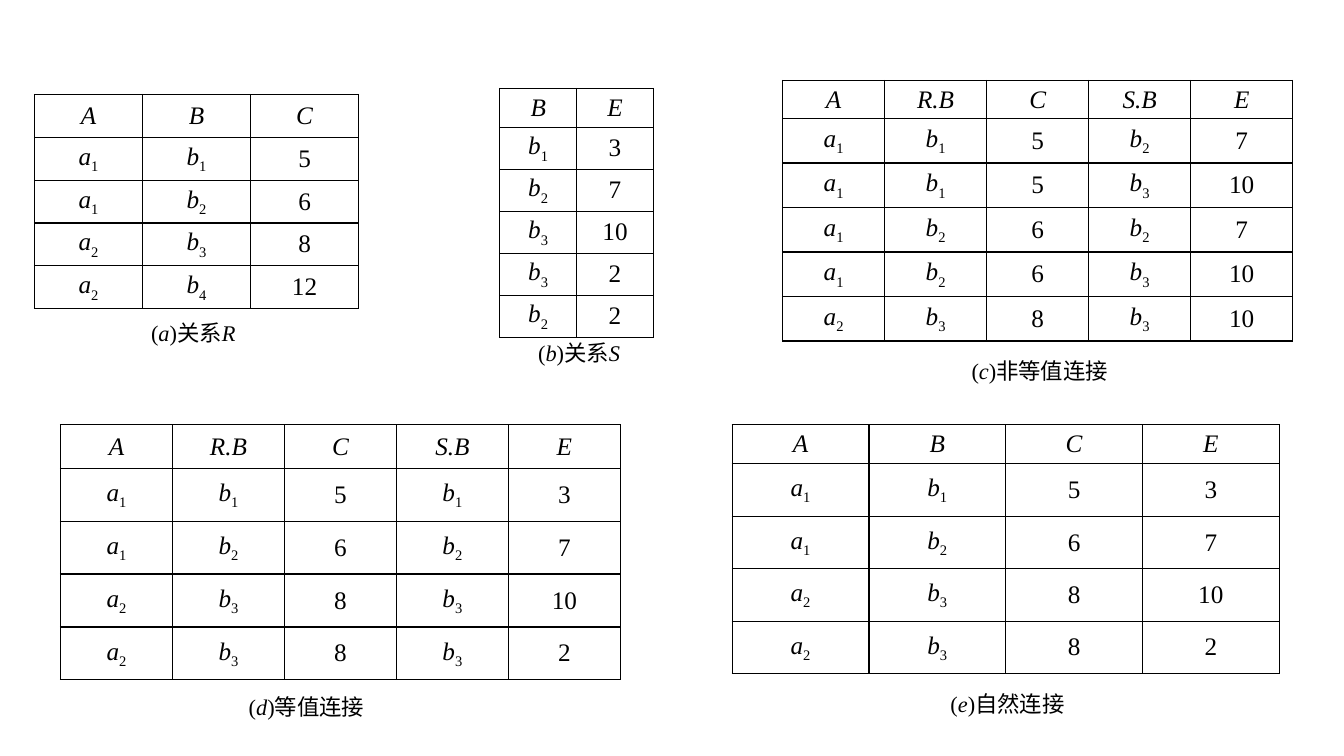
from lxml import etree
from pptx import Presentation
from pptx.dml.color import RGBColor
from pptx.enum.text import MSO_ANCHOR, MSO_AUTO_SIZE, PP_ALIGN
from pptx.oxml.ns import qn
from pptx.util import Pt

BLACK = RGBColor(0x00, 0x00, 0x00)
MIDDLE = MSO_ANCHOR.MIDDLE
CENTER = PP_ALIGN.CENTER
GROW = MSO_AUTO_SIZE.SHAPE_TO_FIT_TEXT
LATIN_FONT = "Times New Roman"
CHINESE_FONT = "Noto Sans CJK SC"
CELL_SIZE = Pt(18)
CELL_FORMAT = {"vertical_anchor": MIDDLE, "margin_top": Pt(2.5), "margin_bottom": Pt(2.5)}
CAPTION_SIZE = Pt(16)
CAPTION_HEIGHT = 26.6

RELATIONS = [
    {"box": (24.6, 67.5), "column": 77.2, "heights": (30.6, 30.6),
     "rows": ["A B C", "a1 b1 5", "a1 b2 6", "a2 b3 8", "a2 b4 12"],
     "caption": ("a", "关系", "R"), "caption_box": (76.2, 4.1, 95)},
    {"box": (357, 63.2), "column": 54.9, "heights": (27.8, 30),
     "rows": ["B E", "b1 3", "b2 7", "b3 10", "b3 2", "b2 2"],
     "caption": ("b", "关系", "S"), "caption_box": (20.3, -2.5, 95)},
    {"box": (559, 57.4), "column": 72.9, "heights": (27.3, 31.8),
     "rows": ["A R.B C S.B E", "a1 b1 5 b2 7", "a1 b1 5 b3 10",
              "a1 b2 6 b2 7", "a1 b2 6 b3 10", "a2 b3 8 b3 10"],
     "caption": ("c", "非等值连接", ""), "caption_box": (127.9, 7.6, 124.6)},
    {"box": (43.2, 303.3), "column": 80, "heights": (31.2, 37.8),
     "rows": ["A R.B C S.B E", "a1 b1 5 b1 3", "a1 b2 6 b2 7",
              "a2 b3 8 b3 10", "a2 b3 8 b3 2"],
     "caption": ("d", "等值连接", ""), "caption_box": (127.4, 6.1, 125.3)},
    {"box": (523, 303.3), "column": 97.7, "heights": (28, 37.5),
     "rows": ["A B C E", "a1 b1 5 3", "a1 b2 6 7", "a2 b3 8 10", "a2 b3 8 2"],
     "caption": ("e", "自然连接", ""), "caption_box": (148.8, 8.3, 134)},
]


def add_span(para, text, size, italic=False, name=LATIN_FONT):
    """Add one formatted run and return its properties element."""
    span = para.add_run()
    span.text = text
    span.font.color.rgb = BLACK
    for key, value in {"size": size, "italic": italic, "name": name}.items():
        setattr(span.font, key, value)
    properties = span._r.get_or_add_rPr()
    etree.SubElement(properties, qn("a:ea"), typeface=name)
    return properties


def write_value(para, value):
    """Write a number, an attribute name or a letter with a subscript."""
    letters = value.rstrip("0123456789")
    digits = value[len(letters):]
    if letters:
        add_span(para, letters, CELL_SIZE, italic=True)
    if digits:
        properties = add_span(para, digits, CELL_SIZE)
        if letters:
            properties.set("baseline", "-25000")


def add_borders(cell):
    """Give a cell no fill and a thin black line on all four sides."""
    cell.fill.background()
    properties = cell._tc.get_or_add_tcPr()
    for index, side in enumerate(("lnL", "lnR", "lnT", "lnB")):
        line = etree.Element(qn(f"a:{side}"), w=str(Pt(1)))
        fill = etree.SubElement(line, qn("a:solidFill"))
        etree.SubElement(fill, qn("a:srgbClr"), val=str(BLACK))
        properties.insert(index, line)


def draw_caption(page, left, top, width, caption):
    """Draw the lettered caption of a relation."""
    box = page.shapes.add_textbox(Pt(left), Pt(top), Pt(width), Pt(CAPTION_HEIGHT))
    frame = box.text_frame
    for key, value in {"word_wrap": True, "auto_size": GROW}.items():
        setattr(frame, key, value)
    para = frame.paragraphs[0]
    letter, title, symbol = caption
    add_span(para, "(", CAPTION_SIZE)
    add_span(para, letter, CAPTION_SIZE, italic=True)
    add_span(para, ")", CAPTION_SIZE)
    add_span(para, title, CAPTION_SIZE, name=CHINESE_FONT).set("lang", "zh-CN")
    if symbol:
        add_span(para, symbol, CAPTION_SIZE, italic=True)


def draw_relation(page, relation):
    """Draw a relation as a table with its caption placed below it."""
    left, top = relation["box"]
    rows = [row.split() for row in relation["rows"]]
    header, body = relation["heights"]
    width = relation["column"] * len(rows[0])
    height = header + body * (len(rows) - 1)
    table = page.shapes.add_table(len(rows), len(rows[0]), Pt(left), Pt(top),
                                  Pt(width), Pt(height)).table
    for key in ("first_row", "horz_banding"):
        setattr(table, key, False)
    for column in table.columns:
        column.width = Pt(relation["column"])
    for index, values in enumerate(rows):
        table.rows[index].height = Pt(body if index else header)
        for cell, value in zip(table.rows[index].cells, values):
            for key, setting in CELL_FORMAT.items():
                setattr(cell, key, setting)
            para = cell.text_frame.paragraphs[0]
            para.alignment = CENTER
            write_value(para, value)
            add_borders(cell)
    shift, gap, caption_width = relation["caption_box"]
    draw_caption(page, left + shift, top + height + gap, caption_width,
                 relation["caption"])


def main():
    """Build the slide of relations and their joins."""
    deck = Presentation()
    deck.slide_width, deck.slide_height = Pt(960), Pt(540)
    page = deck.slides.add_slide(deck.slide_layouts[6])
    for relation in RELATIONS:
        draw_relation(page, relation)
    deck.save("out.pptx")


if __name__ == "__main__":
    main()
